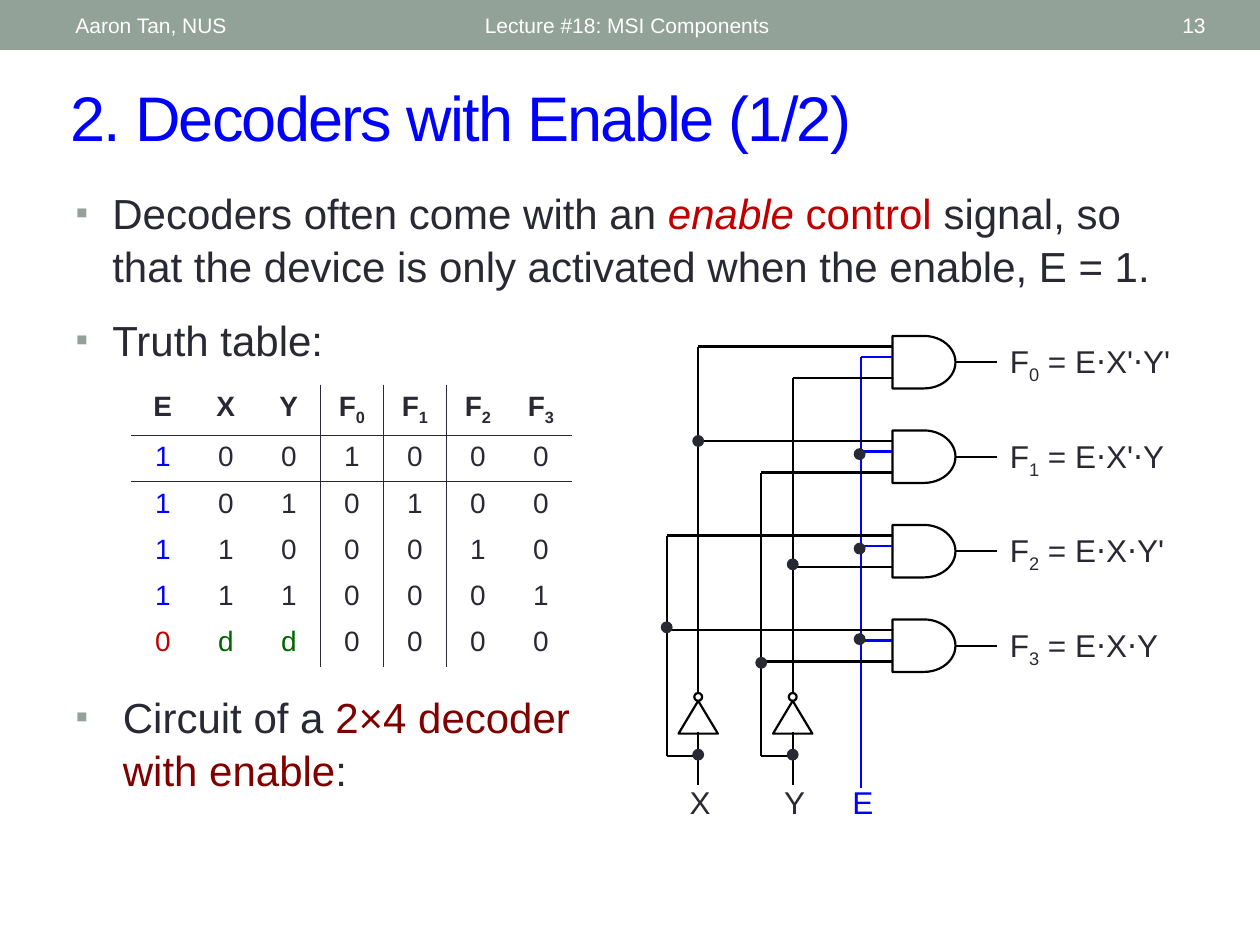
import pptx
import pptx.util
import pptx.dml.color
import pptx.enum.shapes
import pptx.enum.text
import pptx.oxml
import pptx.oxml.ns

RGB = pptx.dml.color.RGBColor
SHAPE = pptx.enum.shapes.MSO_SHAPE
ALIGN = pptx.enum.text.PP_ALIGN
ANCHOR = pptx.enum.text.MSO_ANCHOR

PX = 9525  # EMU in one px, 96 px to the inch
FONT = "Arial"
INK = RGB(0x29, 0x29, 0x34)
SAGE = RGB(0x93, 0xA2, 0x99)
WHITE = RGB(0xFF, 0xFF, 0xFF)
BLACK = RGB(0, 0, 0)
BLUE = RGB(0, 0, 0xFF)
RED = RGB(0xC0, 0, 0)
MAROON = RGB(0x80, 0, 0)
GREEN = RGB(0, 0x66, 0)

# Circuit grid
GATE_LEFT, GATE_TOP, GATE_PITCH = 680, 256, 72
X_TRUE, X_NOT, Y_TRUE, Y_NOT, ENABLE = 508, 532, 580, 604, 656
TAP = 576


def emu(*lengths):
    return [pptx.util.Emu(length * PX) for length in lengths]


def add_xml(parent, tag, **attributes):
    child = pptx.oxml.parse_xml(f"<{tag} {pptx.oxml.ns.nsdecls('a')}/>")
    for name, value in attributes.items():
        child.set(name, str(value))
    parent.append(child)
    return child


def add_span(para, text, size, color=INK, bold=False, italic=False, base=0):
    span = para.add_run()
    span.text = text
    span.font.size = pptx.util.Pt(size)
    span.font.name = FONT
    span.font.color.rgb = color
    span.font.bold = bold
    span.font.italic = italic
    if base:
        span.font._element.set("baseline", str(base * 1000))
    return span


def add_indexed(para, name, index, size, bold=False):
    add_span(para, name, size, bold=bold)
    add_span(para, str(index), size, bold=bold, base=-25)


def place(shape, left, top, width, height):
    shape.left, shape.top, shape.width, shape.height = emu(left, top, width, height)


def add_label(page, area, anchor=ANCHOR.TOP, align=ALIGN.LEFT):
    box = page.shapes.add_textbox(*emu(*area))
    box.text_frame.word_wrap = True
    box.text_frame.vertical_anchor = anchor
    para = box.text_frame.paragraphs[0]
    para.alignment = align
    return para


def add_figure(page, kind, area, line, fill=None, weight=1.25):
    shape = page.shapes.add_shape(kind, *emu(*area))
    shape.shadow.inherit = False
    if fill is None:
        shape.fill.background()
    else:
        shape.fill.solid()
        shape.fill.fore_color.rgb = fill
    shape.line.color.rgb = line
    shape.line.width = pptx.util.Pt(weight)
    return shape


def add_wire(page, start, end, color=BLACK):
    wire = page.shapes.add_connector(
        pptx.enum.shapes.MSO_CONNECTOR.STRAIGHT, *emu(*start, *end))
    wire.line.color.rgb = color
    wire.line.width = pptx.util.Pt(1.25)
    add_xml(wire._element.spPr, "a:effectLst")
    return wire


def add_dot(page, x, y):
    add_figure(page, SHAPE.OVAL, (x - 4, y - 4, 8, 8), INK, INK, 0.75)


def add_header(page):
    bar = add_figure(page, SHAPE.RECTANGLE, (0, 0, 960, 38), SAGE, SAGE)
    bar.line.fill.background()
    for text, left, width, align in (
            ("Aaron Tan, NUS", 48, 304, ALIGN.LEFT),
            ("Lecture #18: MSI Components", 360, 432, ALIGN.LEFT),
            ("13", 837, 91, ALIGN.RIGHT)):
        para = add_label(page, (left, 2, width, 35), ANCHOR.MIDDLE, align)
        add_span(para, text, 12, WHITE)


def fill_title(title, text):
    place(title, 44, 55, 899, 67)
    title.text_frame.vertical_anchor = ANCHOR.MIDDLE
    title.text_frame.auto_size = pptx.enum.text.MSO_AUTO_SIZE.NONE
    para = title.text_frame.paragraphs[0]
    para.alignment = ALIGN.LEFT
    span = add_span(para, text, 36, BLUE)
    span.font._element.set("spc", "-100")


def fill_list(body, area, indent, items):
    place(body, *area)
    frame = body.text_frame
    frame.auto_size = pptx.enum.text.MSO_AUTO_SIZE.NONE
    for number, item in enumerate(items):
        para = frame.add_paragraph() if number else frame.paragraphs[0]
        para.line_spacing = 1.05
        para.space_before = pptx.util.Pt(12 if number else 0)
        properties = para._p.get_or_add_pPr()
        properties.set("marL", str(indent * PX))
        properties.set("indent", str(-indent * PX))
        add_xml(add_xml(properties, "a:buClr"), "a:srgbClr", val=SAGE)
        add_xml(properties, "a:buSzPct", val=85000)
        add_xml(properties, "a:buFont", typeface=FONT)
        add_xml(properties, "a:buChar", char="▪")
        for text, color, italic in item:
            add_span(para, text, 24, color, italic=italic)


def set_borders(cell, **weights):
    properties = cell._tc.get_or_add_tcPr()
    for side in "LRTB":
        if side in weights:
            line = add_xml(properties, "a:ln" + side, w=int(weights[side] * 12700))
            add_xml(add_xml(line, "a:solidFill"), "a:srgbClr", val=INK)


def add_truth_table(page):
    rows = ("EXY0123", "1001000", "1010100", "1100010", "1110001", "0dd0000")
    frame = page.shapes.add_table(len(rows), 7, *emu(100, 293, 336, 192))
    table = frame.table
    table.first_row = table.horz_banding = False
    style = table._tbl.tblPr.find(pptx.oxml.ns.qn("a:tableStyleId"))
    style.text = "{2D5ABB26-0587-4C30-8999-92F81FD0307C}"
    for r, row in enumerate(rows):
        for c, text in enumerate(row):
            cell = table.cell(r, c)
            para = cell.text_frame.paragraphs[0]
            para.alignment = ALIGN.CENTER
            if r == 0 and c > 2:
                add_indexed(para, "F", text, 16, bold=True)
            else:
                color = INK
                if r and c == 0:
                    color = BLUE if text == "1" else RED
                elif text == "d":
                    color = GREEN
                add_span(para, text, 16, color, bold=r == 0)
            # Rules beside the F0 column and below the first two rows
            weights = {2: {"R": 1}, 3: {"L": 1, "R": 1}, 4: {"L": 1}}.get(c, {})
            weights = weights | {0: {"B": 1}, 1: {"T": 1, "B": 0.5}}.get(r, {})
            set_borders(cell, **weights)
            cell.fill.background()


def add_gate(page, index, x_rail, y_rail, product):
    top = GATE_TOP + index * GATE_PITCH
    gate = add_figure(page, SHAPE.FLOWCHART_DELAY, (GATE_LEFT, top, 48, 40), BLACK)
    for rail, drop, color in ((x_rail, 8, BLACK), (ENABLE, 16, BLUE), (y_rail, 32, BLACK)):
        add_wire(page, (rail, top + drop), (GATE_LEFT, top + drop), color)
    output = add_wire(page, (728, top + 20), (760, top + 20))
    output.begin_connect(gate, 3)
    para = add_label(page, (760, top, 152, 38))
    add_indexed(para, "F", index, 18)
    add_span(para, " = " + product, 18)


def add_input(page, name, true_rail, true_top, not_rail, not_top):
    add_wire(page, (not_rail, not_top), (not_rail, 528))
    add_figure(page, SHAPE.OVAL, (not_rail - 3, 528, 6, 6), BLACK)
    inverter = add_figure(page, SHAPE.FLOWCHART_MERGE, (not_rail - 15, 534, 30, 25), BLACK)
    inverter._element.spPr.xfrm.set("flipV", "1")
    add_wire(page, (not_rail, 558), (not_rail, 598))
    add_wire(page, (true_rail, TAP), (not_rail, TAP))
    add_wire(page, (true_rail, true_top), (true_rail, TAP))
    add_span(add_label(page, (not_rail - 16, 592, 40, 38)), name, 18)
    add_dot(page, not_rail, TAP - 1)


def add_circuit(page):
    # Inputs and the enable line
    add_input(page, "X", X_TRUE, 408, X_NOT, 264)
    add_input(page, "Y", Y_TRUE, 360, Y_NOT, 288)
    add_wire(page, (ENABLE, 272), (ENABLE, 600), BLUE)
    add_span(add_label(page, (640, 592, 40, 38)), "E", 18, BLUE)
    # Gates with their outputs
    gates = ((X_NOT, Y_NOT, "E⋅X'⋅Y'"), (X_NOT, Y_TRUE, "E⋅X'⋅Y"),
             (X_TRUE, Y_NOT, "E⋅X⋅Y'"), (X_TRUE, Y_TRUE, "E⋅X⋅Y"))
    for index, gate in enumerate(gates):
        add_gate(page, index, *gate)
    # Junctions
    for x, y in ((X_NOT, 336), (Y_NOT, 430), (Y_TRUE, 505), (X_TRUE, 478),
                 (ENABLE - 1, 346), (ENABLE - 1, 418), (ENABLE - 1, 487)):
        add_dot(page, x, y)


def main():
    deck = pptx.Presentation()
    deck.slide_width, deck.slide_height = emu(960, 720)
    page = deck.slides.add_slide(deck.slide_layouts[3])
    title, intro, caption = page.placeholders

    add_header(page)
    fill_title(title, "2. Decoders with Enable (1/2)")
    fill_list(intro, (48, 136, 864, 152), 28, (
        (("Decoders often come with an ", INK, False),
         ("enable", RED, True),
         (" control ", RED, False),
         ("signal, so that the device is only activated when the enable, E = 1.", INK, False)),
        (("Truth table:", INK, False),)))
    fill_list(caption, (48, 520, 408, 104), 36, (
        (("Circuit of a ", INK, False),
         ("2×4 decoder with enable", MAROON, False),
         (":", INK, False)),))
    add_truth_table(page)
    add_circuit(page)
    deck.save("out.pptx")


if __name__ == "__main__":
    main()
